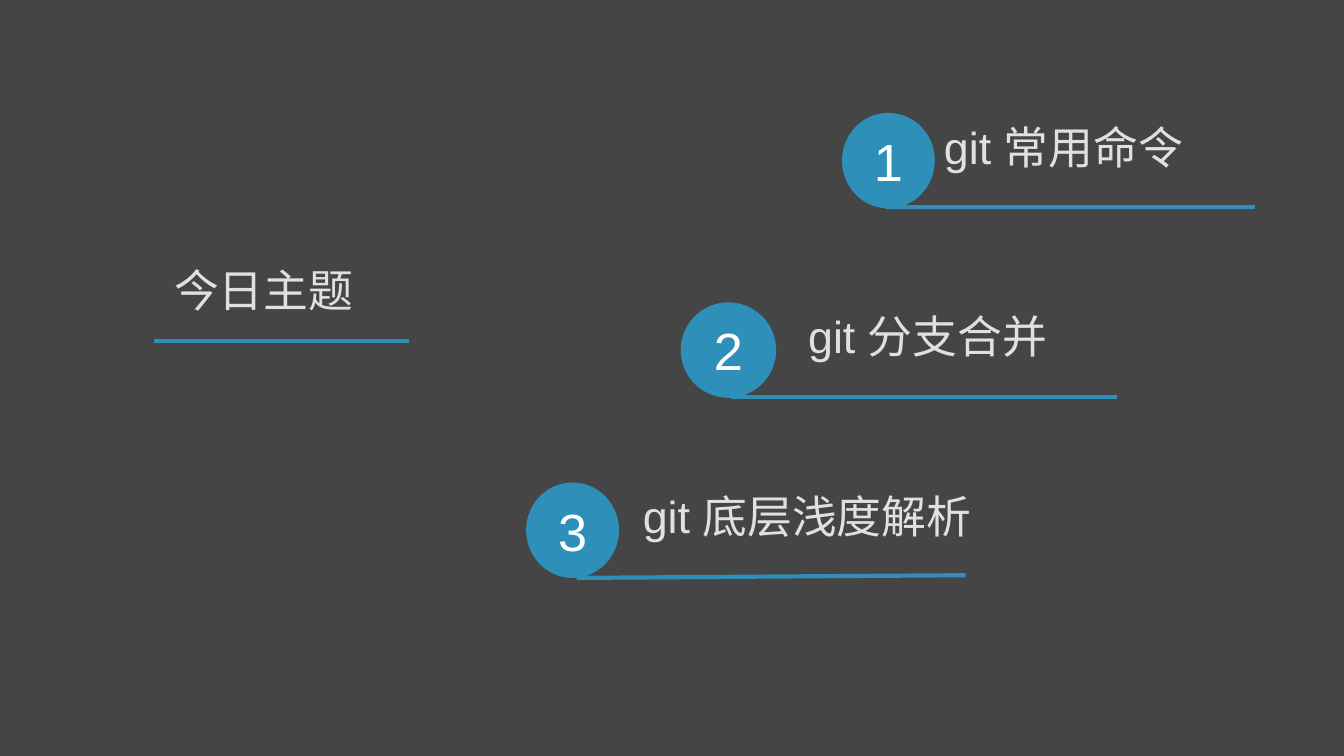
from dataclasses import dataclass

from lxml import etree
from pptx import Presentation
from pptx import util as u
from pptx.dml.color import RGBColor
from pptx.enum import shapes, text
from pptx.oxml.ns import qn

PX = 4572  # EMU per px, 200 px to the inch


@dataclass(frozen=True)
class Theme:
    back: str = "454545"
    blue: str = "2E90B8"
    pale: str = "DFE0E2"
    white: str = "FFFFFF"
    font: str = "Arial"
    body: int = 24
    mark: int = 28
    rule: float = 2.25


T = Theme()


def emu(*px):
    return [u.Emu(n * PX) for n in px]


def write(shape, words, size, color, align, anchor):
    frame = shape.text_frame
    frame.word_wrap = True
    frame.auto_size = text.MSO_AUTO_SIZE.NONE
    frame.vertical_anchor = anchor
    line = frame.paragraphs[0]
    line.alignment = align
    run = line.add_run()
    run.text = words
    run.font.name = T.font
    run.font.size = u.Pt(size)
    run.font.color.rgb = RGBColor.from_string(color)
    return line


def label(shape, words, indent=0):
    line = write(shape, words, T.body, T.pale,
                 text.PP_ALIGN.LEFT, text.MSO_ANCHOR.TOP)
    if indent:
        line._p.get_or_add_pPr().set("marL", str(indent * PX))


def rule(slide, x1, y1, x2, y2):
    line = slide.shapes.add_connector(
        shapes.MSO_CONNECTOR.STRAIGHT, *emu(x1, y1, x2, y2))
    line.line.color.rgb = RGBColor.from_string(T.blue)
    line.line.width = u.Pt(T.rule)
    etree.SubElement(line._element.spPr, qn("a:effectLst"))


def topic(slide, box, words):
    """Heading with a rule below it."""
    x, y, w, h = box
    head = slide.shapes.title
    head.left, head.top, head.width, head.height = emu(x, y, w, h)
    label(head, words)
    rule(slide, x - 10, y + 127, x + 370, y + 127)


def item(slide, box, num, words, disc, note, line):
    """Numbered disc, label and rule, placed from the box's corner."""
    x, y, w, h = box
    # Rule
    start, low, high = line
    rule(slide, x + start, y + low, x + w, y + high)
    # Disc
    dot = slide.shapes.add_shape(
        shapes.MSO_SHAPE.OVAL, *emu(x, y, disc, h))
    dot.shadow.inherit = False
    dot.fill.solid()
    dot.fill.fore_color.rgb = RGBColor.from_string(T.blue)
    dot.line.fill.background()
    write(dot, str(num), T.mark, T.white,
          text.PP_ALIGN.CENTER, text.MSO_ANCHOR.MIDDLE)
    # Label
    gap, wide, indent = note
    name = slide.shapes.add_textbox(*emu(x + gap, y, wide, 100))
    label(name, words, indent)


def main():
    deck = Presentation()
    deck.slide_width, deck.slide_height = emu(2000, 1125)
    slide = deck.slides.add_slide(deck.slide_layouts[5])
    slide.background.fill.solid()
    slide.background.fill.fore_color.rgb = RGBColor.from_string(T.back)

    topic(slide, (239, 381, 456, 100), "今日主题")
    # Box, words, disc width, label (gap, width, indent), rule (start, y1, y2)
    rows = [
        ((1253, 168, 615, 142), "git 常用命令", 138,
         (101, 510, 31), (64, 140, 140)),
        ((1013, 450, 649, 142), "git 分支合并", 142,
         (133, 532, 37), (75, 141, 141)),
        ((783, 718, 654, 142), "git 底层浅度解析", 138,
         (154, 672, 0), (75, 142, 138)),
    ]
    for num, (box, *parts) in enumerate(rows, 1):
        item(slide, box, num, *parts)

    deck.save("out.pptx")


if __name__ == "__main__":
    main()
